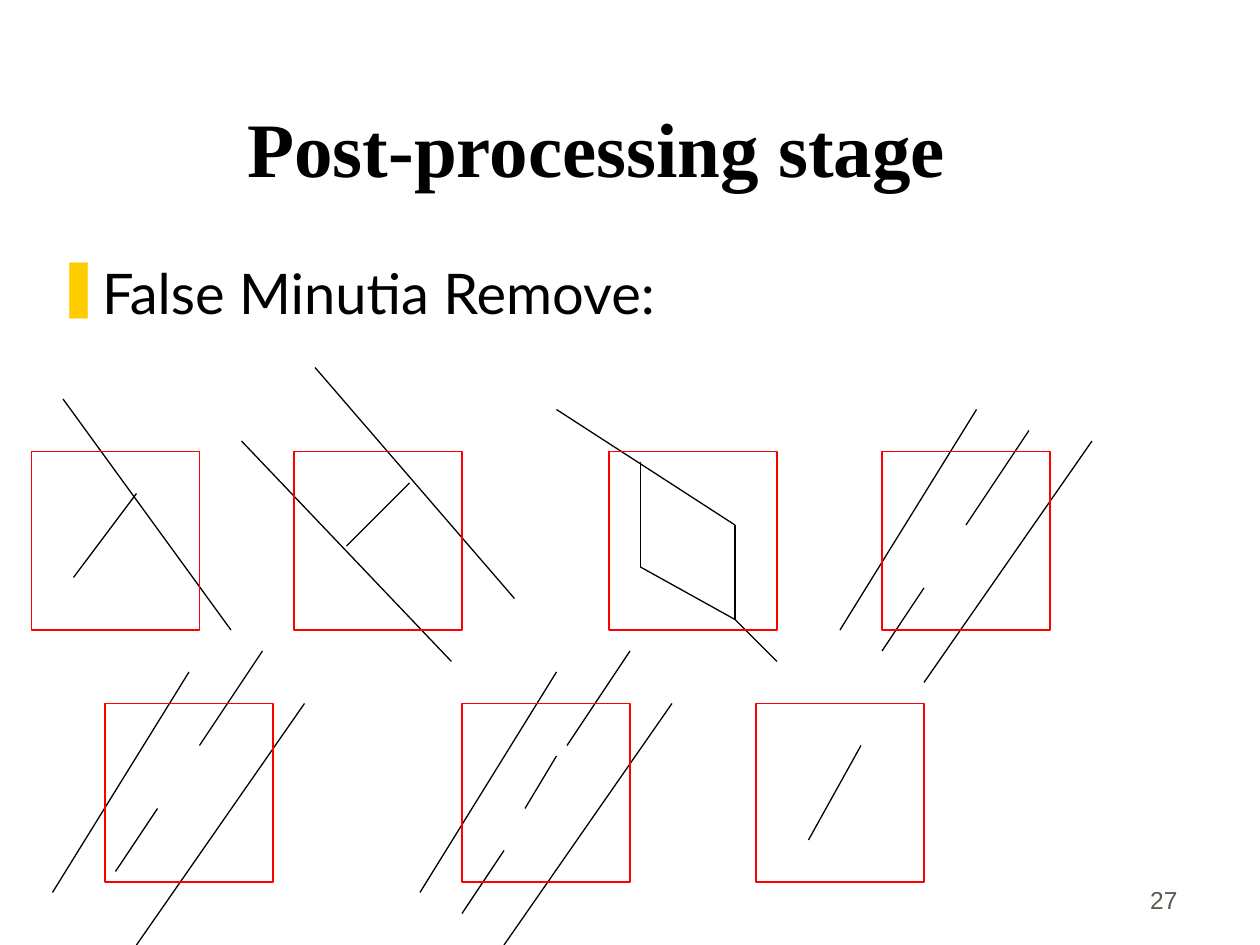
from lxml import etree
from pptx import Presentation
from pptx import util as u
from pptx.dml.color import RGBColor
from pptx.enum import shapes, text
from pptx.oxml.ns import qn

COLORS = {"ink": "000000", "box": "FF0000", "bullet": "FFCC00", "number": "5E574E"}
GRID = 6
BOX_W, BOX_H = 16, 17
TOP_ROW, BOTTOM_ROW = 43, 67

PANELS = [
    (3, TOP_ROW, [(4, 12, 10, 4), (3, -5, 19, 17)]),
    (28, TOP_ROW, [(2, -8, 21, 14), (-5, -1, 15, 20), (11, 3, 5, 9)]),
    (58, TOP_ROW, [(-5, -4, 12, 7), (3, 1, 3, 11), (12, 7, 12, 16),
                   (3, 11, 12, 16), (12, 16, 16, 20)]),
    (84, TOP_ROW, [(9, -4, -4, 17), (20, -1, 4, 22), (14, -2, 8, 7), (4, 13, 0, 19)]),
    (10, BOTTOM_ROW, [(8, -3, -5, 18), (19, 0, 3, 23), (15, -5, 9, 4), (5, 10, 1, 16)]),
    (44, BOTTOM_ROW, [(9, -3, -4, 18), (20, 0, 4, 23), (4, 14, 0, 20),
                      (9, 5, 6, 10), (10, 4, 16, -5)]),
    (72, BOTTOM_ROW, [(10, 4, 5, 13)]),
]


def rgb(name):
    return RGBColor.from_string(COLORS[name])


def write(tf, content, size, font, color="ink", bold=False, align="LEFT",
          anchor="TOP", bullet=None):
    tf.word_wrap = True
    tf.auto_size = text.MSO_AUTO_SIZE.NONE
    tf.vertical_anchor = getattr(text.MSO_ANCHOR, anchor)
    p = tf.paragraphs[0]
    p.alignment = getattr(text.PP_ALIGN, align)
    p.space_before = u.Pt(0)
    if bullet:
        pPr = p._p.get_or_add_pPr()
        pPr.set("marL", "0")
        pPr.set("indent", "0")
        clr = etree.SubElement(pPr, qn("a:buClr"))
        etree.SubElement(clr, qn("a:srgbClr"), val=COLORS["bullet"])
        etree.SubElement(pPr, qn("a:buChar"), char=bullet)
    r = p.add_run()
    r.text = content
    r.font.size = u.Pt(size)
    r.font.name = font
    r.font.bold = bold
    r.font.color.rgb = rgb(color)


class Deck:
    line_width = 0.75

    def __init__(self, width, height):
        self.prs = Presentation()
        self.prs.slide_width, self.prs.slide_height = u.Pt(width), u.Pt(height)
        self.s = self.prs.slides.add_slide(self.prs.slide_layouts[5])

    def title(self, x, y, w, h, content, **fmt):
        sp = self.s.shapes.title
        sp.left, sp.top, sp.width, sp.height = map(u.Pt, (x, y, w, h))
        write(sp.text_frame, content, **fmt)

    def label(self, x, y, w, h, content, **fmt):
        sp = self.s.shapes.add_textbox(*map(u.Pt, (x, y, w, h)))
        write(sp.text_frame, content, **fmt)

    def line(self, x1, y1, x2, y2):
        cx = self.s.shapes.add_connector(
            shapes.MSO_CONNECTOR.STRAIGHT, *map(u.Pt, (x1, y1, x2, y2)))
        cx.line.width = u.Pt(self.line_width)
        cx.line.color.rgb = rgb("ink")
        etree.SubElement(cx._element.spPr, qn("a:effectLst"))

    def box(self, x, y, w, h):
        sp = self.s.shapes.add_shape(
            shapes.MSO_SHAPE.RECTANGLE, *map(u.Pt, (x, y, w, h)))
        sp.shadow.inherit = False
        sp.fill.background()
        sp.line.width = u.Pt(self.line_width)
        sp.line.color.rgb = rgb("box")

    def panel(self, col, row, ridges):
        for x1, y1, x2, y2 in ridges:
            self.line((col + x1) * GRID, (row + y1) * GRID,
                      (col + x2) * GRID, (row + y2) * GRID)
        self.box(col * GRID, row * GRID, BOX_W * GRID, BOX_H * GRID)


def main():
    deck = Deck(720, 540)
    deck.title(30, 24, 622, 90, "Post-processing stage", size=44,
               font="Times New Roman", bold=True, align="CENTER", anchor="BOTTOM")
    deck.label(24.5, 144, 446, 46, "False Minutia Remove:", size=32,
               font="Lato", bullet="❚")
    for col, row, ridges in PANELS:
        deck.panel(col, row, ridges)
    deck.label(530, 490, 150, 36, "27", size=14, font="Arial",
               color="number", align="RIGHT", anchor="BOTTOM")
    deck.prs.save("out.pptx")


if __name__ == "__main__":
    main()
